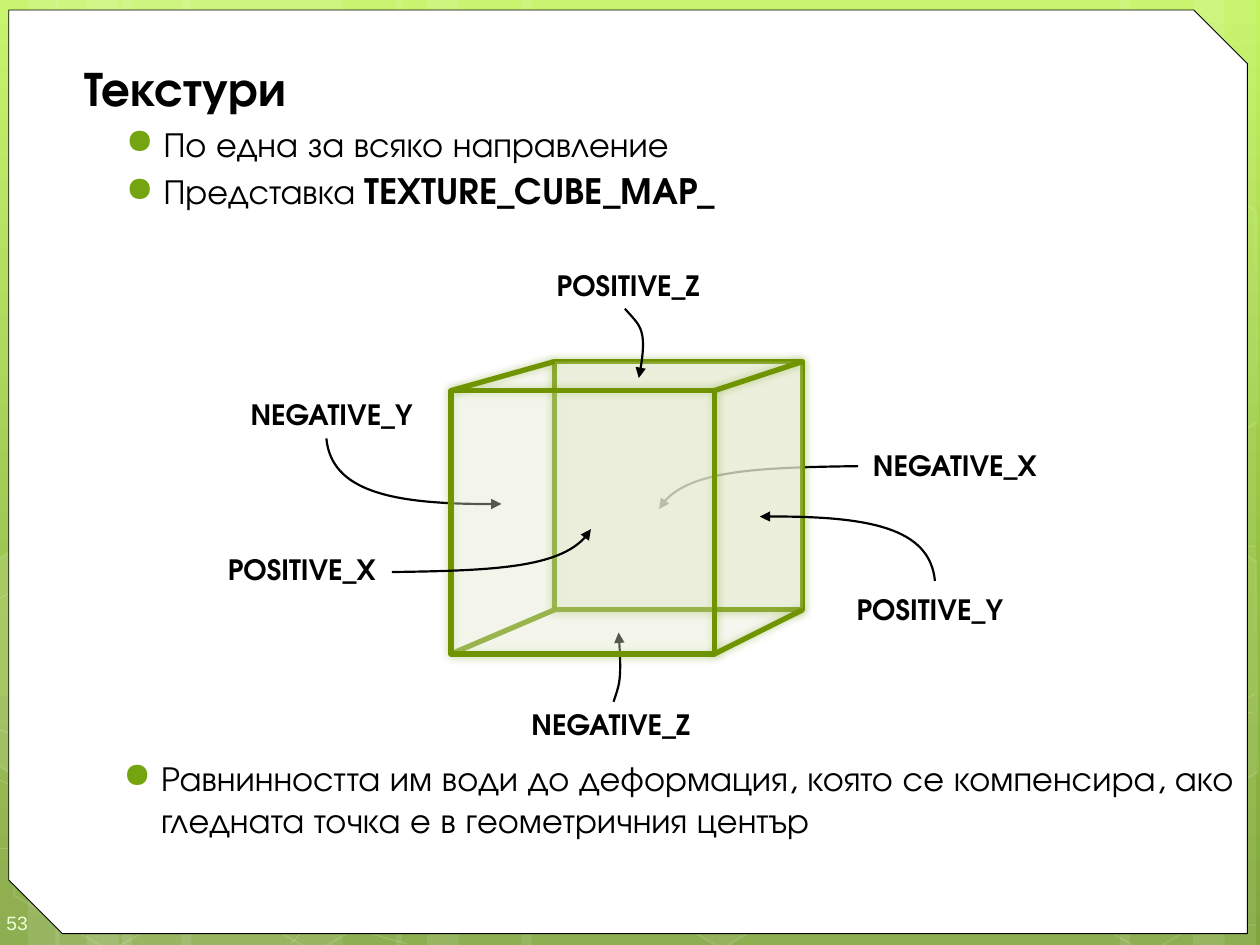
import copy
from dataclasses import dataclass
from typing import NamedTuple

from lxml import etree
from pptx import Presentation, util as u
from pptx.dml import color
from pptx.enum import shapes, text
from pptx.oxml import ns

COLUMNS, ROWS = 100, 75
CELL = u.Inches(10) // COLUMNS


@dataclass(frozen=True)
class Theme:
    font: str = "TeX Gyre Adventor"
    number_font: str = "Arial"
    sky: tuple = ((0, "C3F35F"), (0.62, "93BF3F"), (1, "81A53E"))
    white: str = "FFFFFF"
    ink: str = "000000"
    edge: str = "6F9400"
    bullet: str = "74A510"
    number: str = "EEFFD6"
    title_size: float = 28
    body_size: float = 20
    label_size: float = 16
    number_size: float = 11


THEME = Theme()


class Paint(NamedTuple):
    color: str
    opacity: int = 100
    width: float = 0


class Hexagon(NamedTuple):
    column: float
    row: float
    fill: int
    line: int


class Label(NamedTuple):
    text: str
    column: float
    row: float
    width: float


class Bullet(NamedTuple):
    runs: tuple
    indent: float
    space: float


WHITE_10 = Paint(THEME.white, 10)
EDGE = Paint(THEME.edge, width=3)
ARROW = Paint(THEME.ink, width=1.25)

STRIPES = ((9.7, 17.5), (-0.3, 5), (2.2, 8.3), (14.4, 17.5), (4.4, 5), (6.9, 8.3), (72.2, 17.5),
           (94.7, 5), (88.9, 8.3), (41.4, 30.8), (31.4, 5), (33.9, 8.3))
WAVES = (
    ((-0.4, 67.3), (5, 67.6), (10.4, 67.9), (17.9, 67.8), (25.4, 67.7), (34.6, 67.5), (44.7, 66.5),
     (54.7, 65.5), (68.9, 63.6), (78, 61.7), (87.2, 59.8), (96.6, 56.8), (99.6, 55.1)),
    ((-0.4, 47.7), (2.5, 46.1), (5.4, 44.6), (11, 43.1), (16.7, 41.6), (24.7, 39.4), (33.6, 38.7),
     (42.5, 38), (53.3, 37.9), (64.3, 38.7), (75.3, 39.5), (93.6, 42.6), (99.6, 43.4)),
    ((-0.5, 61.7), (11.5, 67.2), (23.6, 72.7), (32.3, 74.9)),
    ((-0.4, 57.8), (2.7, 58.9), (5.9, 60), (11.7, 61.6), (17.5, 63.1), (26.2, 65.6), (34.5, 67.3),
     (42.9, 69), (53.4, 70.8), (61.7, 71.8), (69.9, 72.9), (78.9, 73.3), (84.1, 73.6),
     (89.4, 74), (90.8, 73.8), (93.4, 73.8), (95.9, 73.7), (97.8, 73.5), (99.6, 73.4)),
    ((23.1, 74.9), (24.9, 72.9), (26.7, 70.9), (29.1, 69.1), (31.5, 67.3), (34.9, 65.3), (37.6, 63.9),
     (40.4, 62.5), (42.2, 61.9), (45.8, 60.9), (49.5, 59.9), (56.2, 58.5), (59.7, 57.8),
     (63.2, 57.1), (63.8, 57.1), (66.9, 56.9), (70, 56.6), (74.9, 56.3), (78.3, 56.2),
     (81.7, 56.1), (87.5, 56.2), (87.5, 56.2), (89.7, 56.2), (91.9, 56.2), (94.1, 56.2),
     (96, 56.3), (97.7, 56.4), (99.5, 56.6)),
)
HEXAGONS = tuple(Hexagon(*row) for row in (
    (32.5, 31.3, 10, 12), (40.4, 45.1, 0, 12), (40.5, 17.4, 7, 8), (32.3, 3.6, 4, 8),
    (48.5, 58.9, 6, 12), (0, 59.1, 0, 12), (0.3, 31.2, 7, 8), (8.2, 45.1, 0, 12),
    (16.2, 59.2, 0, 12), (16.5, 31.3, 7, 8), (8.4, 17.1, 0, 12), (74.2, 45.3, 10, 12),
    (82.3, 59.3, 0, 12), (82.3, 31.4, 7, 8)))
LEFT_CUT = ((-0.3, 44.5), (0.8, 43.8), (8.5, 48.2), (8.4, 57), (0.9, 61.4), (-0.3, 60.7))
RIGHT_CUT = ((91.5, 48.5), (99, 44.1), (99.7, 44.6), (99.8, 61.3), (99.1, 61.7), (91.4, 57.3))
UPPER_RIGHT_CUT = tuple((column, row - 27.8) for column, row in RIGHT_CUT)

LABELS = (Label("POSITIVE_Y", 67, 46.5, 13.8), Label("POSITIVE_Z", 43.2, 20.8, 13.6),
          Label("NEGATIVE_Z", 41.2, 55.7, 15), Label("NEGATIVE_Y", 18.9, 31.1, 15.3),
          Label("NEGATIVE_X", 68.3, 35.1, 15.4), Label("POSITIVE_X", 17.1, 43.4, 14))
ARROWS_BEHIND = (((25.9, 34.8), (26.3, 39), (31.4, 40.1), (39.8, 40)),
                 ((68.1, 37), (60.1, 37.1), (54, 37.4), (52.3, 40.4)),
                 ((48.7, 55.7), (49.1, 54.4), (49.4, 54.2), (49.1, 50.2)))
ARROWS_IN_FRONT = (((49.6, 24.5), (50.7, 25.8), (51.5, 26), (50.7, 30)),
                   ((31.1, 45.4), (39.2, 45.3), (45.2, 45), (46.9, 42)),
                   ((74.2, 46.1), (73.8, 41.9), (68.7, 40.9), (60.3, 41)))
BULLETS = (Bullet((("По една за всяко направление", False),), 0.7, 3.2),
           Bullet((("Представка ", False), ("TEXTURE_CUBE_MAP_", True)), 0.7, 3.2),
           Bullet((("Равнинността им води до деформация, която се компенсира, "
                    "ако гледната точка е в геометричния център", False),), 0.68, 311))


def cells(*counts: float) -> list[int]:
    return [round(count * CELL) for count in counts]


def add(parent, tag: str, **attributes):
    return etree.SubElement(parent, ns.qn(tag), attributes)


def set_opacity(parent, opacity: int) -> None:
    if opacity < 100:
        add(parent.find(ns.qn("a:solidFill"))[0], "a:alpha", val=str(opacity * 1000))


def style(shape, fill: Paint | None = None, line: Paint | None = None, glow: bool = False) -> None:
    """Give a shape or connector its fill, line and optional soft green shadow."""
    properties = shape._element.spPr
    if fill:
        shape.fill.solid()
        shape.fill.fore_color.rgb = color.RGBColor.from_string(fill.color)
        set_opacity(properties, fill.opacity)
    elif hasattr(shape, "fill"):
        shape.fill.background()
    if line:
        shape.line.color.rgb = color.RGBColor.from_string(line.color)
        shape.line.width = u.Pt(line.width)
        set_opacity(properties.find(ns.qn("a:ln")), line.opacity)
    else:
        shape.line.fill.background()
    effects = add(properties, "a:effectLst")
    if glow:
        shadow = add(effects, "a:outerShdw", blurRad=str(u.Pt(5)), dist="0", dir="0", rotWithShape="0")
        add(add(shadow, "a:srgbClr", val=THEME.edge), "a:alpha", val="40000")


def add_preset(slide, kind, box: tuple, **look):
    shape = slide.shapes.add_shape(kind, *cells(*box))
    style(shape, **look)
    return shape


def add_outline(slide, points: tuple, closed: bool = True, **look):
    start, *rest = (cells(*point) for point in points)
    builder = slide.shapes.build_freeform(*start)
    builder.add_line_segments(rest, close=closed)
    shape = builder.convert_to_shape()
    style(shape, **look)
    return shape


def add_curve(slide, points: tuple, line: Paint):
    """Draw a start point followed by triples of cubic control points."""
    shape = add_outline(slide, points, closed=False, line=line)
    path = shape._element.find(".//" + ns.qn("a:path"))
    segments = path.findall(ns.qn("a:lnTo"))
    for first in range(0, len(segments), 3):
        curve = add(path, "a:cubicBezTo")
        for segment in segments[first:first + 3]:
            curve.append(segment[0])
            path.remove(segment)
    return shape


def add_arrow(slide, points: tuple) -> None:
    shape = add_curve(slide, points, ARROW)
    add(shape._element.spPr.find(ns.qn("a:ln")), "a:tailEnd", type="triangle")


def add_edge(slide, start: tuple, end: tuple, glow: bool = True) -> None:
    line = slide.shapes.add_connector(shapes.MSO_CONNECTOR.STRAIGHT, *cells(*start, *end))
    style(line, line=EDGE, glow=glow)


def set_font(font, size: float, bold: bool = False, name: str = THEME.font, ink: str = THEME.ink) -> None:
    font.name, font.size, font.bold = name, u.Pt(size), bold
    font.color.rgb = color.RGBColor.from_string(ink)


def add_label(slide, label: Label) -> None:
    frame = slide.shapes.add_textbox(*cells(label.column, label.row, label.width, 3.7)).text_frame
    frame.word_wrap = False
    frame.text = label.text
    set_font(frame.paragraphs[0].font, THEME.label_size, bold=True)


def add_body(slide) -> None:
    frame = slide.shapes.add_textbox(*cells(5, 4.1, 94.2, 70.1)).text_frame
    frame.word_wrap = True
    title = frame.paragraphs[0]
    title.text = "Текстури"
    title._p.get_or_add_pPr().set("marL", str(u.Inches(0.07)))
    set_font(title.font, THEME.title_size, bold=True)
    for bullet in BULLETS:
        paragraph = frame.add_paragraph()
        properties = paragraph._p.get_or_add_pPr()
        properties.set("marL", str(u.Inches(bullet.indent)))
        properties.set("indent", str(-u.Inches(0.3)))
        add(add(properties, "a:buClr"), "a:srgbClr", val=THEME.bullet)
        add(properties, "a:buChar", char="●")
        paragraph.space_before = u.Pt(bullet.space)
        set_font(paragraph.font, THEME.body_size)
        for words, bold in bullet.runs:
            run = paragraph.add_run()
            run.text = words
            if bold:
                run.font.bold = True


def add_backdrop(slide) -> None:
    fill = slide.background.fill
    fill.gradient()
    fill.gradient_angle = 270
    stops = slide._element.find(".//" + ns.qn("a:gsLst"))
    stops.append(copy.deepcopy(stops[0]))
    for stop, (position, shade) in zip(fill.gradient_stops, THEME.sky):
        stop.position, stop.color.rgb = position, color.RGBColor.from_string(shade)
    for column, width in STRIPES:
        add_preset(slide, shapes.MSO_SHAPE.RECTANGLE, (column, 0, width, ROWS), fill=WHITE_10)
    for wave in WAVES:
        add_curve(slide, wave, Paint(THEME.white, 20, 0.5))
    for column, row, opacity, line in HEXAGONS:
        hexagon = add_preset(slide, shapes.MSO_SHAPE.HEXAGON, (column, row, 17.5, 15.2),
                             fill=Paint(THEME.white, opacity) if opacity else None,
                             line=Paint(THEME.white, line, 1))
        hexagon.adjustments[0] = 0.285
        hexagon.rotation = 30
    for cut, fill in ((LEFT_CUT, WHITE_10), (RIGHT_CUT, Paint(THEME.white, 4)), (UPPER_RIGHT_CUT, None)):
        add_outline(slide, cut, fill=fill, line=Paint(THEME.white, 12, 1))
    panel = add_preset(slide, shapes.MSO_SHAPE.SNIP_2_DIAG_RECTANGLE, (0.7, 0.8, 98.3, 73.3),
                       fill=Paint(THEME.white), line=Paint(THEME.ink, width=0.5))
    panel.adjustments[0], panel.adjustments[1] = 0, 0.058


def add_slide_number(slide) -> None:
    frame = slide.shapes.add_textbox(*cells(0, 71, 5.8, 4)).text_frame
    frame.margin_left, frame.margin_top, frame.margin_right, frame.margin_bottom = cells(0.5, 1.5, 0, 1)
    frame.vertical_anchor = text.MSO_ANCHOR.MIDDLE
    frame.text = "53"
    set_font(frame.paragraphs[0].font, THEME.number_size, name=THEME.number_font, ink=THEME.number)


def square_corners(column: float, row: float, side: float) -> list[tuple]:
    """Corners in the order top left, top right, bottom right, bottom left."""
    return [(column, row), (column + side, row), (column + side, row + side), (column, row + side)]


def add_cube(slide) -> None:
    front, back = (35.8, 31, 20.9), (44, 28.7, 19.7)
    near, far = square_corners(*front), square_corners(*back)
    add_edge(slide, near[3], far[3], glow=False)
    for square, opacity in ((back, 60), (front, 30)):
        if square is front:
            add_outline(slide, (far[2], near[2], near[1], near[0], far[0], far[1]),
                        fill=Paint(THEME.white, 20), glow=True)
        add_preset(slide, shapes.MSO_SHAPE.RECTANGLE, (*square, square[2]),
                   fill=Paint(THEME.white, opacity), line=EDGE, glow=True)
    for corner in range(3):
        add_edge(slide, near[corner], far[corner])


def main() -> None:
    presentation = Presentation()
    presentation.slide_width, presentation.slide_height = cells(COLUMNS, ROWS)
    slide = presentation.slides.add_slide(presentation.slide_layouts[6])
    add_backdrop(slide)
    add_slide_number(slide)
    for arrow in ARROWS_BEHIND:
        add_arrow(slide, arrow)
    add_body(slide)
    for label in LABELS:
        add_label(slide, label)
    add_cube(slide)
    for arrow in ARROWS_IN_FRONT:
        add_arrow(slide, arrow)
    presentation.save("out.pptx")


if __name__ == "__main__":
    main()
